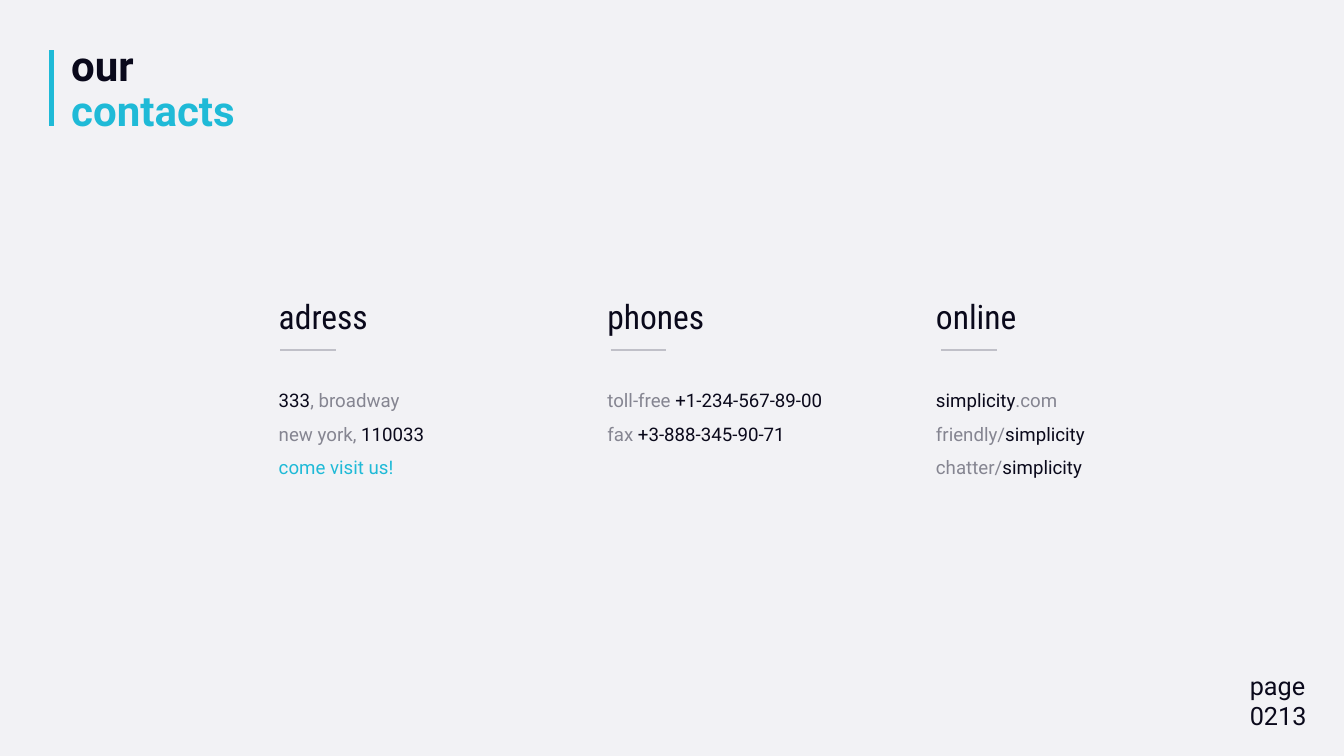
from pptx import Presentation
from pptx import util as u
from pptx.dml.color import RGBColor
from pptx.enum import shapes, text
from pptx.oxml.ns import qn
from lxml import etree

INK, CYAN, GREY, RULE, PAPER = "0A091B", "1FBAD7", "858591", "C0C0C8", "F2F2F5"

CONTACTS = [
    ("adress", [[("333", INK), (", broadway", GREY)],
                [("new york, ", GREY), ("110033", INK)],
                [("come visit us!", CYAN)]]),
    ("phones", [[("toll-free ", GREY), ("+1-234-567-89-00", INK)],
                [("fax ", GREY), ("+3-888-345-90-71", INK)]]),
    ("online", [[("simplicity", INK), (".com", GREY)],
                [("friendly/", GREY), ("simplicity", INK)],
                [("chatter/", GREY), ("simplicity", INK)]]),
]


def rgb(value):
    return RGBColor.from_string(value)


class Deck:
    """Holds the style and the current slide; lengths are percent of the slide."""

    FORMATS = {
        "title": dict(name="Roboto", size=u.Pt(45), bold=True),
        "heading": dict(name="Roboto Condensed", size=u.Pt(36)),
        "detail": dict(name="Roboto", size=u.Pt(20)),
        "page": dict(name="Roboto", size=u.Pt(27)),
    }

    def __init__(self, prs):
        self.prs = prs
        self.s = prs.slides.add_slide(prs.slide_layouts[5])
        fill = self.s.background.fill
        fill.solid()
        fill.fore_color.rgb = rgb(PAPER)

    def x(self, share):
        return u.Emu(round(self.prs.slide_width * share / 100))

    def y(self, share):
        return u.Emu(round(self.prs.slide_height * share / 100))

    def run(self, p, words, color, style):
        r = p.add_run()
        r.text = words
        for key, value in self.FORMATS[style].items():
            setattr(r.font, key, value)
        r.font.color.rgb = rgb(color)

    def title(self, left, top, width, height, lines):
        sp = self.s.shapes.title
        place = dict(left=self.x(left), top=self.y(top),
                     width=self.x(width), height=self.y(height))
        for key, value in place.items():
            setattr(sp, key, value)
        tf = sp.text_frame
        tf.word_wrap = True
        tf.auto_size = text.MSO_AUTO_SIZE.SHAPE_TO_FIT_TEXT
        tf.vertical_anchor = text.MSO_ANCHOR.TOP
        p = tf.paragraphs[0]
        p.alignment = text.PP_ALIGN.LEFT
        p.line_spacing = 0.9
        for i, (words, color) in enumerate(lines):
            if i:
                p.add_line_break()
            self.run(p, words, color, "title")

    def text_box(self, left, top, width, height, paragraphs, style, spacing=1.0):
        sp = self.s.shapes.add_textbox(self.x(left), self.y(top),
                                       self.x(width), self.y(height))
        tf = sp.text_frame
        tf.word_wrap = True
        for i, runs in enumerate(paragraphs):
            p = tf.add_paragraph() if i else tf.paragraphs[0]
            p.line_spacing = spacing
            for words, color in runs:
                self.run(p, words, color, style)

    def line(self, x1, y1, x2, y2, color, width):
        sp = self.s.shapes.add_connector(shapes.MSO_CONNECTOR.STRAIGHT,
                                         self.x(x1), self.y(y1),
                                         self.x(x2), self.y(y2))
        sp.line.color.rgb = rgb(color)
        sp.line.width = u.Pt(width)
        etree.SubElement(sp._element.spPr, qn("a:effectLst"))


def main():
    prs = Presentation()
    prs.slide_width, prs.slide_height = u.Inches(20), u.Inches(11.25)
    deck = Deck(prs)

    deck.line(3.85, 6.67, 3.85, 16.7, CYAN, 5)
    deck.title(4.8, 5.5, 29.8, 13, [("our", INK), ("contacts", CYAN)])
    deck.text_box(92.5, 88.2, 9.5, 9.25, [[("page", INK)], [("0213", INK)]], "page")

    for i, (heading, details) in enumerate(CONTACTS):
        left = 20.25 + 24.45 * i
        rule = 20.85 + 24.58 * i
        deck.text_box(left, 38.75, 20, 6.3, [[(heading, INK)]], "heading")
        deck.line(rule, 46.3, rule + 4.15, 46.3, RULE, 2)
        deck.text_box(left, 49.5, 20, 0.9 + 4.5 * len(details), details, "detail", 1.5)

    prs.save("out.pptx")


if __name__ == "__main__":
    main()
